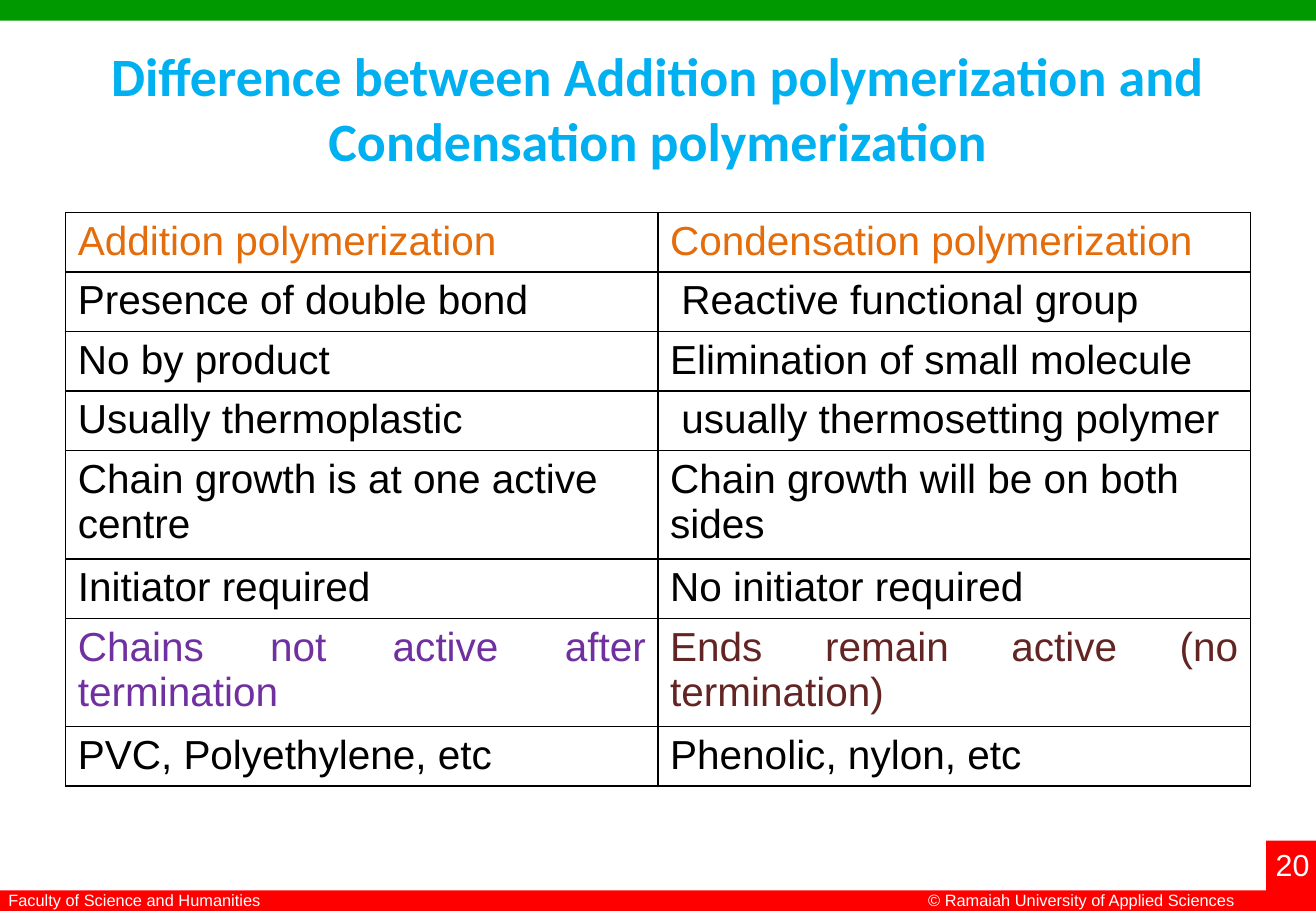
from dataclasses import dataclass

from lxml.etree import SubElement
from pptx import Presentation
from pptx.dml.color import RGBColor
from pptx.enum.shapes import MSO_SHAPE as Preset
from pptx.enum.text import MSO_ANCHOR as Anchor, PP_ALIGN as Align
from pptx.oxml.ns import qn
from pptx.slide import Slide
from pptx.table import _Cell as Cell
from pptx.util import Inches, Pt


@dataclass(frozen=True)
class Theme:
    heading_font: str = "Calibri"
    body_font: str = "Arial"
    title_size: float = 32
    table_size: float = 24
    number_size: float = 18
    footer_size: float = 9.7
    green: str = "009900"
    red: str = "FF0000"
    white: str = "FFFFFF"
    black: str = "000000"
    sky: str = "00B0F0"
    orange: str = "E46C0A"
    purple: str = "7030A0"
    maroon: str = "632523"


@dataclass(frozen=True)
class Box:
    left: float
    top: float
    width: float
    height: float

    def inches(self) -> tuple:
        return tuple(Inches(v) for v in (self.left, self.top, self.width, self.height))


@dataclass(frozen=True)
class Band:
    box: Box
    color: str


@dataclass(frozen=True)
class Label:
    text: str
    box: Box
    size: float


@dataclass(frozen=True)
class Comparison:
    addition: str
    condensation: str
    colors: tuple[str, str] = (Theme.black, Theme.black)
    align: Align = Align.LEFT
    lines: int = 1


THEME = Theme()
SLIDE_WIDTH, SLIDE_HEIGHT = 10.83, 7.5
BAR = 0.17
LINE_HEIGHT, CELL_PADDING, BOTTOM_MARGIN = 0.37, 0.1, 0.04

BANDS = [
    Band(Box(0, 0, SLIDE_WIDTH, BAR), THEME.green),
    Band(Box(0, SLIDE_HEIGHT - BAR, SLIDE_WIDTH, BAR), THEME.red),
    Band(Box(10.42, 6.92, 0.41, 0.58), THEME.red),
]
LABELS = [
    Label("© Ramaiah University of Applied Sciences", Box(7.54, 7.28, 2.75, 0.26), THEME.footer_size),
    Label("20", Box(10.4, 6.92, 0.51, 0.4), THEME.number_size),
    Label("Faculty of Science and Humanities", Box(-0.03, 7.28, 3.19, 0.26), THEME.footer_size),
]
TITLE = "Difference between Addition polymerization and Condensation polymerization"
COMPARISONS = [
    Comparison("Addition polymerization", "Condensation polymerization", (THEME.orange, THEME.orange)),
    Comparison("Presence of double bond", " Reactive functional group"),
    Comparison("No by product", "Elimination of small molecule"),
    Comparison("Usually thermoplastic", " usually thermosetting polymer"),
    Comparison("Chain growth is at one active centre", "Chain growth will be on both sides", lines=2),
    Comparison("Initiator required", "No initiator required", align=Align.JUSTIFY),
    Comparison("Chains not active after termination", "Ends remain active (no termination)",
               (THEME.purple, THEME.maroon), Align.JUSTIFY, 2),
    Comparison("PVC, Polyethylene, etc", "Phenolic, nylon, etc"),
]


def set_font(paragraph, name: str, size: float, color: str, bold: bool = False) -> None:
    font = paragraph.font
    font.name, font.size, font.bold = name, Pt(size), bold
    font.color.rgb = RGBColor.from_string(color)


def draw_band(slide: Slide, band: Band) -> None:
    bar = slide.shapes.add_shape(Preset.RECTANGLE, *band.box.inches())
    bar.shadow.inherit = False
    bar.fill.solid()
    bar.fill.fore_color.rgb = RGBColor.from_string(band.color)
    bar.line.fill.background()


def draw_label(slide: Slide, label: Label) -> None:
    frame = slide.shapes.add_textbox(*label.box.inches()).text_frame
    frame.word_wrap = False
    frame.text = label.text
    set_font(frame.paragraphs[0], THEME.body_font, label.size, THEME.white)


def draw_title(slide: Slide) -> None:
    title = slide.shapes.title
    title.left, title.top, title.width, title.height = Box(0.54, 0.26, 9.75, 1.25).inches()
    frame = title.text_frame
    frame.text = TITLE
    frame.word_wrap = True
    frame.vertical_anchor = Anchor.MIDDLE
    heading = frame.paragraphs[0]
    heading.alignment = Align.CENTER
    set_font(heading, THEME.heading_font, THEME.title_size, THEME.sky, bold=True)


def set_borders(cell: Cell) -> None:
    properties = cell._tc.get_or_add_tcPr()
    for side in ("a:lnL", "a:lnR", "a:lnT", "a:lnB"):
        border = SubElement(properties, qn(side), w=str(Pt(1)))
        fill = SubElement(border, qn("a:solidFill"))
        SubElement(fill, qn("a:srgbClr"), val=THEME.black)


def fill_cell(cell: Cell, text: str, color: str, align: Align) -> None:
    set_borders(cell)
    cell.fill.background()
    cell.margin_bottom = Inches(BOTTOM_MARGIN)
    cell.text = text
    entry = cell.text_frame.paragraphs[0]
    entry.alignment = align
    set_font(entry, THEME.body_font, THEME.table_size, color)


def draw_table(slide: Slide) -> None:
    heights = [row.lines * LINE_HEIGHT + CELL_PADDING for row in COMPARISONS]
    box = Box(0.54, 1.75, 9.75, sum(heights))
    table = slide.shapes.add_table(len(COMPARISONS), 2, *box.inches()).table
    table.first_row = table.horz_banding = False
    for index, (row, height) in enumerate(zip(COMPARISONS, heights)):
        table.rows[index].height = Inches(height)
        for column, text in enumerate((row.addition, row.condensation)):
            fill_cell(table.cell(index, column), text, row.colors[column], row.align)


def main() -> None:
    deck = Presentation()
    deck.slide_width, deck.slide_height = Inches(SLIDE_WIDTH), Inches(SLIDE_HEIGHT)
    slide = deck.slides.add_slide(deck.slide_layouts[5])  # Title Only

    # Header bar, footer bar and page number
    for band in BANDS:
        draw_band(slide, band)
    for label in LABELS:
        draw_label(slide, label)

    # Content
    draw_title(slide)
    draw_table(slide)
    deck.save("out.pptx")


if __name__ == "__main__":
    main()
